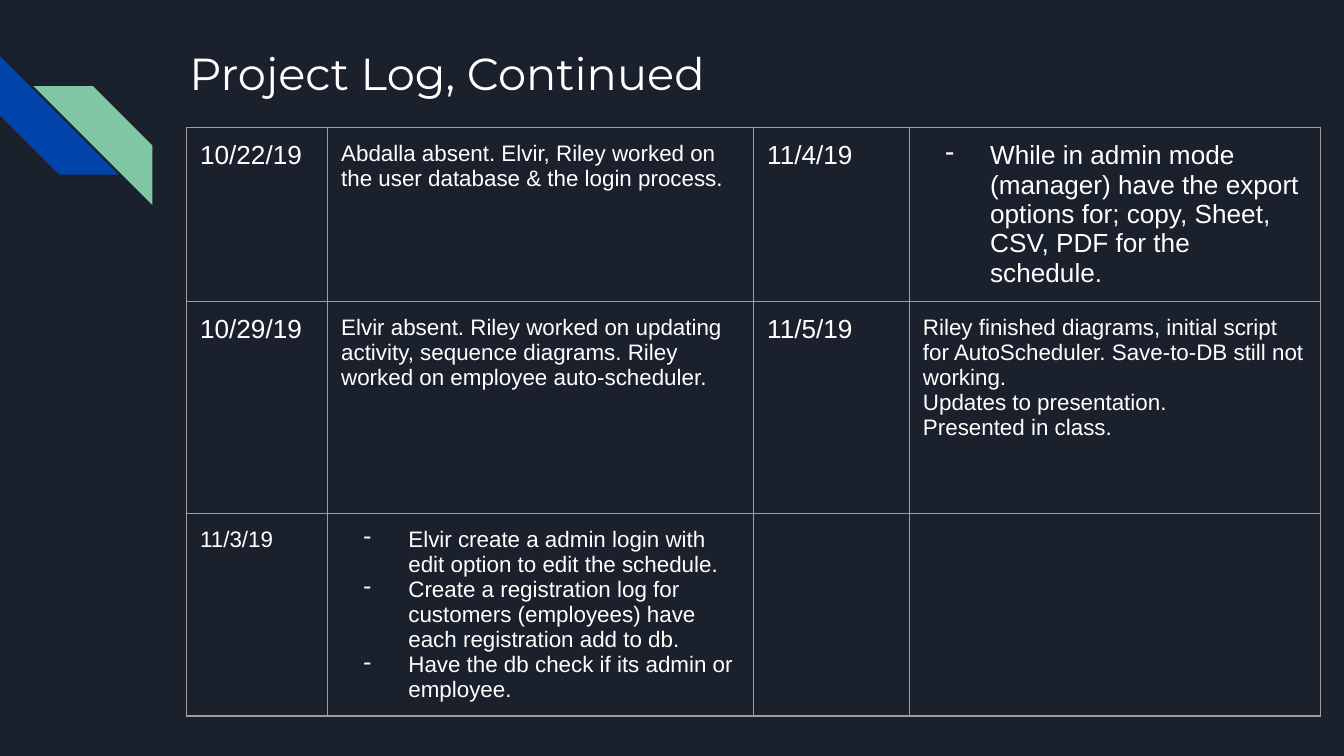
from lxml.etree import SubElement
from pptx import Presentation
from pptx.dml.color import RGBColor
from pptx.enum.shapes import MSO_SHAPE
from pptx.enum.text import MSO_ANCHOR, MSO_AUTO_SIZE, PP_ALIGN
from pptx.oxml.ns import qn
from pptx.util import Pt

COLORS = {
    "background": "1B212C",
    "blue": "0145AC",
    "green": "82C7A5",
    "text": "FFFFFF",
    "border": "9E9E9E",
}
INSET = 7.2
COLUMN_WIDTHS = [75.6, 228.2, 83.5, 220.3]
ROW_HEIGHTS = [85, 113.6, 77]

# Each cell: size of the text, whether it is a dash list, paragraphs
LOG = [
    [
        (14, False, ["10/22/19"]),
        (12, False, ["Abdalla absent. Elvir, Riley worked on the user database "
                     "& the login process."]),
        (14, False, ["11/4/19"]),
        (14, True, ["While in admin mode (manager) have the export options for; "
                    "copy, Sheet, CSV, PDF for the schedule."]),
    ],
    [
        (14, False, ["10/29/19"]),
        (12, False, ["Elvir absent. Riley worked on updating activity, sequence "
                     "diagrams. Riley worked on employee auto-scheduler."]),
        (14, False, ["11/5/19"]),
        (12, False, ["Riley finished diagrams, initial script for AutoScheduler. "
                     "Save-to-DB still not working.",
                     "Updates to presentation.",
                     "Presented in class."]),
    ],
    [
        (12, False, ["11/3/19"]),
        (12, True, ["Elvir create a admin login with edit option to edit the schedule.",
                    "Create a registration log for customers (employees) have each "
                    "registration add to db.",
                    "Have the db check if its admin or employee."]),
        (12, False, []),
        (12, False, []),
    ],
]


def color(name):
    return RGBColor.from_string(COLORS[name])


def format_runs(para, size, font):
    for span in para.runs:
        span.font.size = Pt(size)
        span.font.name = font
        span.font.color.rgb = color("text")


def set_margins(box):
    box.margin_left = box.margin_right = Pt(INSET)
    box.margin_top = box.margin_bottom = Pt(INSET)


def add_stripe(page, left, top, rotation, fill):
    stripe = page.shapes.add_shape(
        MSO_SHAPE.DIAGONAL_STRIPE, Pt(left), Pt(top), Pt(63.6), Pt(63.6))
    stripe.rotation = rotation
    stripe.shadow.inherit = False
    stripe.fill.solid()
    stripe.fill.fore_color.rgb = color(fill)
    stripe.line.fill.background()


def format_title(page, text):
    title = page.shapes.title
    title.left, title.top, title.width, title.height = Pt(94.3), Pt(17.3), Pt(554.4), Pt(72)
    frame = title.text_frame
    frame.text = text
    frame.word_wrap = True
    frame.auto_size = MSO_AUTO_SIZE.NONE
    frame.vertical_anchor = MSO_ANCHOR.TOP
    set_margins(frame)
    para = frame.paragraphs[0]
    para.alignment = PP_ALIGN.LEFT
    format_runs(para, 24, "Montserrat")


def add_dash(para):
    """Give the paragraph a hanging dash bullet."""
    properties = para._p.get_or_add_pPr()
    properties.set("marL", str(Pt(36)))
    properties.set("indent", str(-Pt(24)))
    bullet_color = SubElement(properties, qn("a:buClr"))
    SubElement(bullet_color, qn("a:srgbClr"), val=COLORS["text"])
    SubElement(properties, qn("a:buChar"), char="-")


def add_borders(cell):
    properties = cell._tc.get_or_add_tcPr()
    for side in ("a:lnL", "a:lnR", "a:lnT", "a:lnB"):
        line = SubElement(properties, qn(side), w=str(Pt(0.75)))
        fill = SubElement(line, qn("a:solidFill"))
        SubElement(fill, qn("a:srgbClr"), val=COLORS["border"])


def fill_cell(cell, size, dashed, lines):
    set_margins(cell)
    add_borders(cell)
    cell.fill.background()
    cell.text_frame.text = "\n".join(lines)
    for para in cell.text_frame.paragraphs:
        format_runs(para, size, "Arial")
        if dashed:
            add_dash(para)


def add_log_table(page):
    table = page.shapes.add_table(
        len(LOG), len(COLUMN_WIDTHS), Pt(100), Pt(68.4),
        Pt(sum(COLUMN_WIDTHS)), Pt(sum(ROW_HEIGHTS))).table
    table.first_row = table.horz_banding = False
    for column, width in zip(table.columns, COLUMN_WIDTHS):
        column.width = Pt(width)
    for row, height, entries in zip(table.rows, ROW_HEIGHTS, LOG):
        row.height = Pt(height)
        for cell, entry in zip(row.cells, entries):
            fill_cell(cell, *entry)


def main():
    deck = Presentation()
    deck.slide_width, deck.slide_height = Pt(720), Pt(405)
    page = deck.slides.add_slide(deck.slide_layouts[5])
    page.background.fill.solid()
    page.background.fill.fore_color.rgb = color("background")
    add_stripe(page, 0, 30, 270, "blue")
    add_stripe(page, 18, 46.2, 90, "green")
    format_title(page, "Project Log, Continued")
    add_log_table(page)
    deck.save("out.pptx")


if __name__ == "__main__":
    main()
